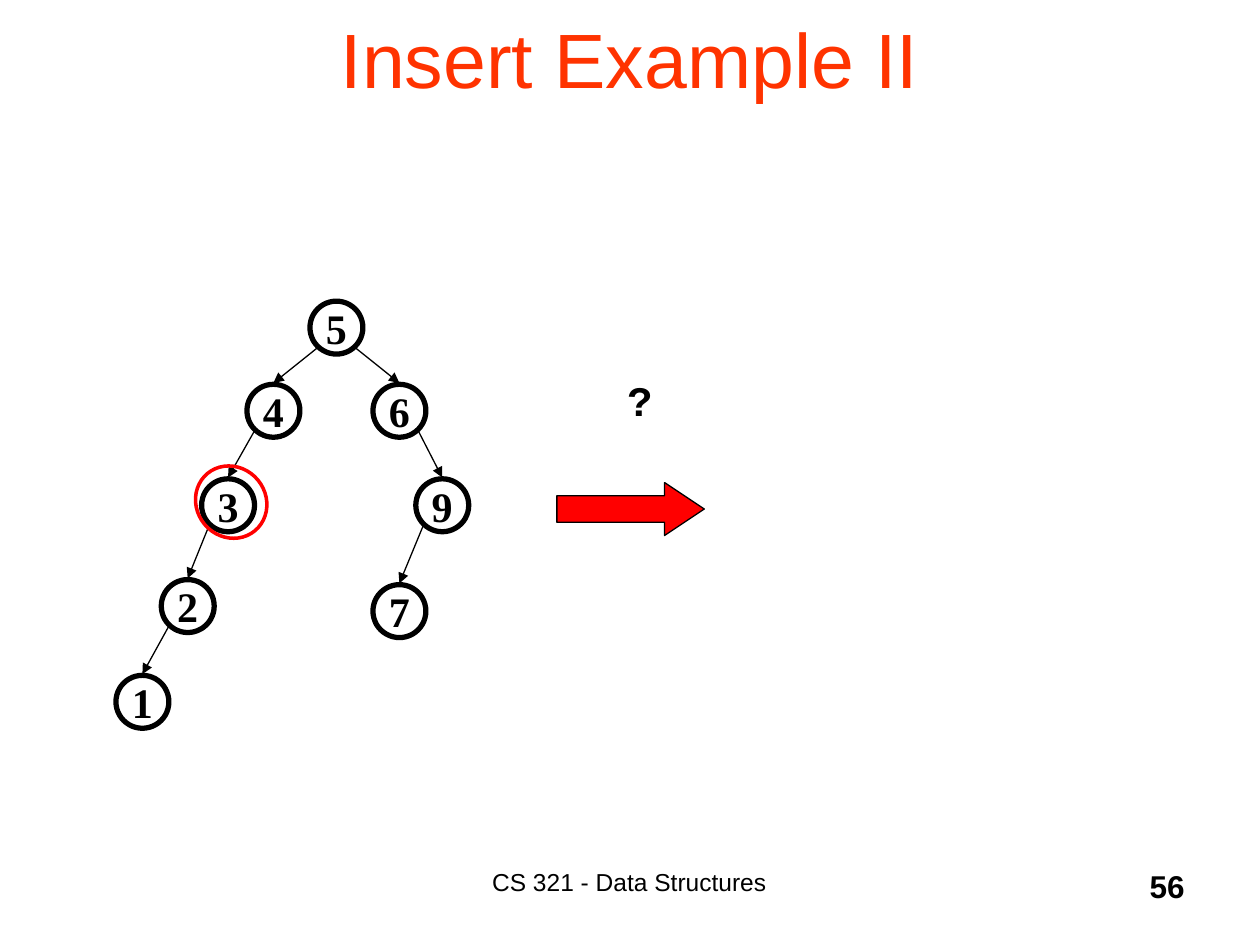
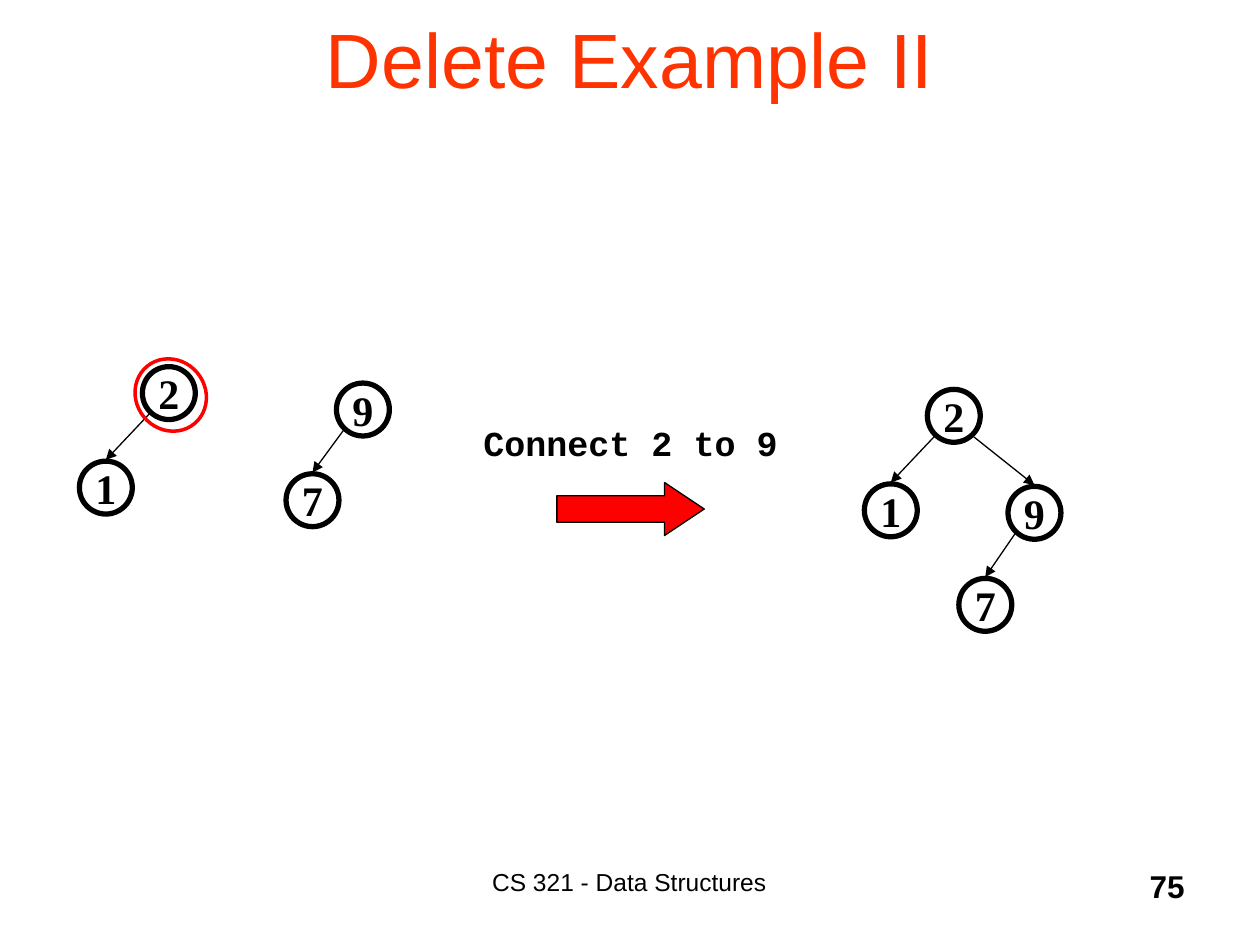
from lxml import etree
from pptx import Presentation
from pptx.dml.color import RGBColor
from pptx.enum.shapes import MSO_CONNECTOR, MSO_SHAPE
from pptx.enum.text import MSO_ANCHOR, PP_ALIGN
from pptx.oxml.ns import qn
from pptx.util import Pt

PX = 9144  # EMU per px, 100 px to the inch
OVAL, ARROW = MSO_SHAPE.OVAL, MSO_SHAPE.RIGHT_ARROW
STRAIGHT = MSO_CONNECTOR.STRAIGHT
CENTER, RIGHT = PP_ALIGN.CENTER, PP_ALIGN.RIGHT
TOP, MIDDLE = MSO_ANCHOR.TOP, MSO_ANCHOR.MIDDLE


def px(*lengths):
    return [n * PX for n in lengths]


def rgb(value):
    return RGBColor.from_string(value)


class Deck:
    BLACK, RED, TITLE = "000000", "FF0000", "FF3300"
    SANS, MONO, SERIF = "Arial", "Courier New", "Times New Roman"
    NODE = 42  # node diameter

    def __init__(self):
        self.prs = Presentation()
        self.prs.slide_width, self.prs.slide_height = px(1000, 750)
        self.s = None

    def new_slide(self, title, number):
        self.s = self.prs.slides.add_slide(self.prs.slide_layouts[6])
        self.text(title, (75, -17, 850, 125), 44, color=self.TITLE, anchor=MIDDLE)
        self.text("CS 321 - Data Structures", (308, 683, 383, 50), 14)
        self.text(number, (742, 683, 208, 50), 18, bold=True, align=RIGHT)

    def set_text(self, sp, text, size, font, color, bold, align, anchor, wrap):
        tf = sp.text_frame
        tf.word_wrap = wrap
        tf.vertical_anchor = anchor
        p = tf.paragraphs[0]
        p.text = text
        p.alignment = align
        p.font.name, p.font.size, p.font.bold = font, Pt(size), bold
        p.font.color.rgb = rgb(color)

    def text(self, text, box, size, font=SANS, color=BLACK, bold=False,
             align=CENTER, anchor=TOP):
        sp = self.s.shapes.add_textbox(*px(*box))
        self.set_text(sp, text, size, font, color, bold, align, anchor, True)

    def shape(self, kind, box, line, width, fill=None, shapes=None):
        sp = (shapes or self.s.shapes).add_shape(kind, *px(*box))
        sp.shadow.inherit = False
        if fill:
            sp.fill.solid()
            sp.fill.fore_color.rgb = rgb(fill)
        else:
            sp.fill.background()
        sp.line.color.rgb = rgb(line)
        sp.line.width = Pt(width)
        return sp

    def step_arrow(self):
        sp = self.shape(ARROW, (442, 383, 117, 42), self.BLACK, 0.75, self.RED)
        sp.adjustments[1] = 0.75

    def ring(self, x, y):
        self.shape(OVAL, (x, y, 55, 59), self.RED, 2).rotation = 320.5

    def node(self, shapes, label, x, y):
        sp = self.shape(OVAL, (x, y, self.NODE, self.NODE), self.BLACK, 3, shapes=shapes)
        self.set_text(sp, label, 24, self.SERIF, self.BLACK, True, CENTER, MIDDLE, False)

    def edge(self, shapes, parent, child):
        """Draw an arrow from the lower side of the parent to the top of the child."""
        (x, y), (cx, cy) = parent, child
        start = x + (6 if cx < x else self.NODE - 6)
        c = shapes.add_connector(STRAIGHT, *px(start, y + 37, cx + self.NODE // 2, cy - 1))
        c.line.color.rgb = rgb(self.BLACK)
        c.line.width = Pt(0.75)
        spPr = c.element.spPr
        etree.SubElement(spPr.find(qn("a:ln")), qn("a:tailEnd"), type="triangle")
        etree.SubElement(spPr, qn("a:effectLst"))

    def tree(self, nodes, edges):
        """Group labelled nodes; each edge is a parent label and a child label."""
        shapes = self.s.shapes.add_group_shape().shapes
        for parent, child in edges.split():
            self.edge(shapes, nodes[parent], nodes[child])
        for label, (x, y) in nodes.items():
            self.node(shapes, label, x, y)


def insert_slide(deck):
    deck.new_slide("Insert Example II", "56")
    deck.text("?", (388, 292, 240, 50), 24, deck.MONO, bold=True)
    deck.step_arrow()
    deck.tree({"5": (246, 239), "4": (196, 305), "6": (296, 305), "3": (160, 380),
               "9": (330, 380), "2": (128, 460), "7": (296, 464), "1": (92, 536)},
              "54 56 43 69 32 97 21")
    deck.ring(156, 369)


def delete_slide(deck):
    deck.new_slide("Delete Example II", "75")
    deck.step_arrow()
    deck.tree({"2": (113, 291), "1": (63, 366), "9": (267, 304), "7": (227, 376)},
              "21 97")
    deck.text("Connect 2 to 9", (365, 330, 271, 44), 20, deck.MONO, bold=True)
    deck.tree({"2": (736, 309), "1": (686, 384), "9": (800, 386), "7": (761, 459)},
              "21 29 97")
    deck.ring(108, 284)


def main():
    deck = Deck()
    insert_slide(deck)
    delete_slide(deck)
    deck.prs.save("out.pptx")


if __name__ == "__main__":
    main()
